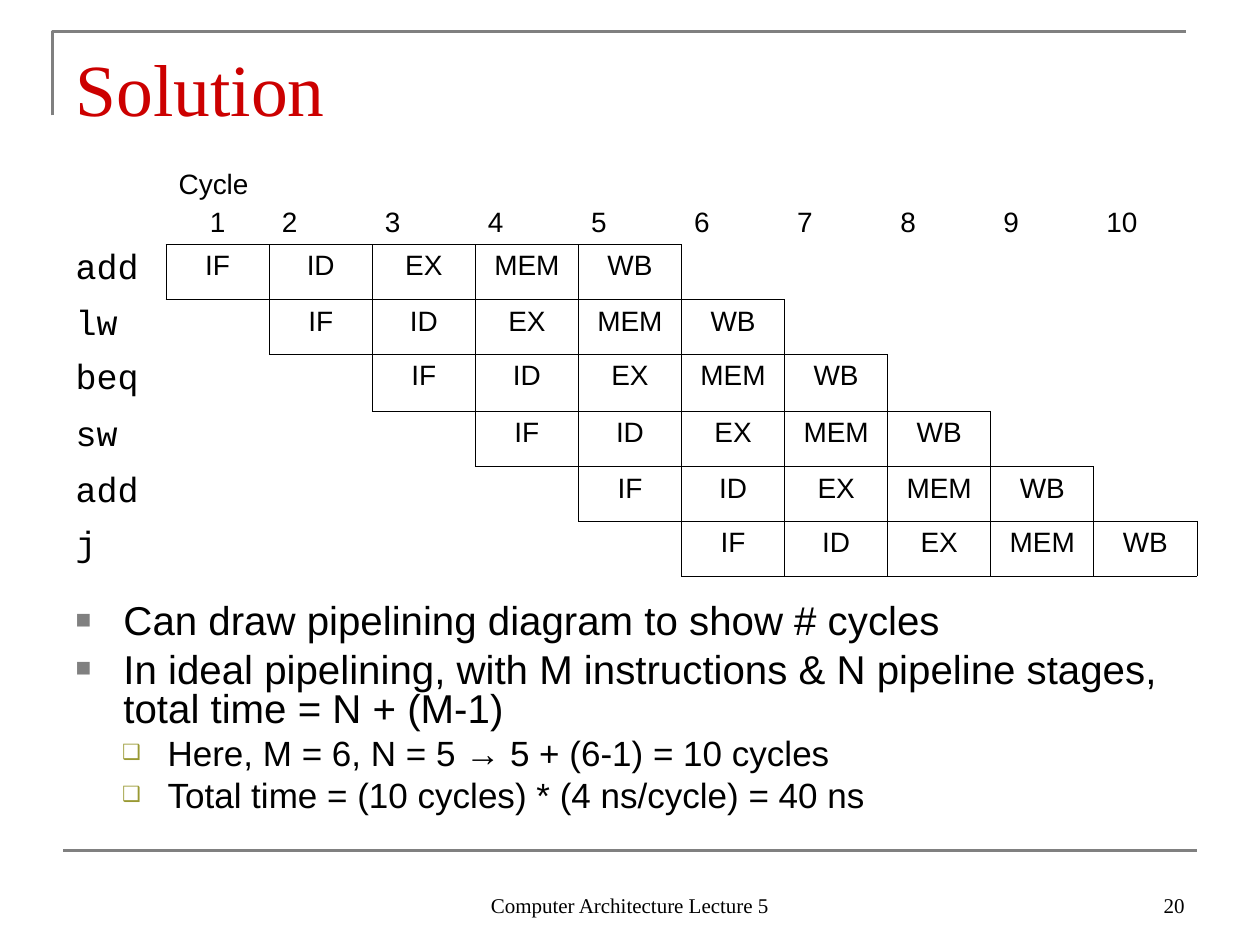
from dataclasses import dataclass

from lxml.etree import SubElement
from pptx import Presentation
from pptx.dml.color import RGBColor
from pptx.enum.shapes import MSO_CONNECTOR
from pptx.enum.text import MSO_ANCHOR, MSO_AUTO_SIZE, PP_ALIGN
from pptx.oxml.ns import qn
from pptx.util import Inches, Length, Pt

COLORS = {"title": "CC0000", "text": "000000", "rule": "808080", "sub_bullet": "999933"}
SANS, SERIF, MONO = "Arial", "Times New Roman", "Courier New"
GRID = Inches(1 / 12)  # the slide is 120 columns by 90 rows
STAGES = ["IF", "ID", "EX", "MEM", "WB"]
INSTRUCTIONS = ["add", "lw", "beq", "sw", "add", "j"]
CYCLES = len(INSTRUCTIONS) + len(STAGES) - 1
ROW_HEIGHTS = [0.69, 0.44, 0.43, 0.45, 0.44, 0.43, 0.43]
NO_STYLE = "{2D5ABB26-0587-4C30-8999-92F81FD0307C}"


@dataclass(frozen=True)
class Box:
    col: float
    row: float
    cols: float
    rows: float

    def lengths(self) -> tuple[Length, ...]:
        return tuple(units(n) for n in (self.col, self.row, self.cols, self.rows))


@dataclass(frozen=True)
class BulletStyle:
    char: str
    color: str
    percent: int
    margin: float
    indent: float
    size: float
    before: float


@dataclass(frozen=True)
class Bullet:
    text: str
    level: int


@dataclass(frozen=True)
class Footer:
    text: str
    box: Box
    align: PP_ALIGN


BULLET_STYLES = [
    BulletStyle("■", "rule", 65, 0.38, -0.38, 23, 5.8),
    BulletStyle("❑", "sub_bullet", 60, 0.73, -0.36, 20, 5),
]
BULLETS = [
    Bullet("Can draw pipelining diagram to show # cycles", 0),
    Bullet("In ideal pipelining, with M instructions & N pipeline stages, "
           "total time = N + (M-1)", 0),
    Bullet("Here, M = 6, N = 5 → 5 + (6-1) = 10 cycles", 1),
    Bullet("Total time = (10 cycles) * (4 ns/cycle) = 40 ns", 1),
]
FOOTERS = [
    Footer("Computer Architecture Lecture 5", Box(41, 82, 38, 6), PP_ALIGN.CENTER),
    Footer("20", Box(86, 82, 28, 6), PP_ALIGN.RIGHT),
]


def units(n: float) -> Length:
    return Length(round(n * GRID))


def rgb(name: str) -> RGBColor:
    return RGBColor.from_string(COLORS[name])


def style(p, font: str, size: float, color: str = "text", align=PP_ALIGN.LEFT) -> None:
    p.alignment = align
    for r in p.runs:
        r.font.name, r.font.size = font, Pt(size)
        r.font.color.rgb = rgb(color)


def place(s, box: Box) -> None:
    s.left, s.top, s.width, s.height = box.lengths()


def draw_rules(slide) -> None:
    builder = slide.shapes.build_freeform(units(5), units(11))
    builder.add_line_segments([(units(5), units(3)), (units(113), units(3))], close=False)
    corner = builder.convert_to_shape()
    corner.fill.background()
    corner.shadow.inherit = False
    bottom = slide.shapes.add_connector(
        MSO_CONNECTOR.STRAIGHT, units(6), units(81), units(114), units(81))
    SubElement(bottom._element.spPr, qn("a:effectLst"))
    for s in (corner, bottom):
        s.line.color.rgb = rgb("rule")
        s.line.width = Pt(1.5)


def draw_title(slide) -> None:
    title = slide.shapes.title
    place(title, Box(6, 3.6, 108, 9.4))
    tf = title.text_frame
    tf.text = "Solution"
    tf.auto_size = MSO_AUTO_SIZE.NONE
    tf.vertical_anchor = MSO_ANCHOR.MIDDLE
    style(tf.paragraphs[0], SERIF, 42, "title")


def add_bullet(p, look: BulletStyle) -> None:
    pPr = p._p.get_or_add_pPr()
    pPr.set("marL", str(Inches(look.margin)))
    pPr.set("indent", str(Inches(look.indent)))
    SubElement(SubElement(pPr, qn("a:buClr")), qn("a:srgbClr"), val=COLORS[look.color])
    SubElement(pPr, qn("a:buSzPct"), val=str(look.percent * 1000))
    SubElement(pPr, qn("a:buChar"), char=look.char)


def draw_bullets(slide) -> None:
    body = slide.placeholders[1]
    place(body, Box(6, 57, 108, 23.4))
    tf = body.text_frame
    tf.auto_size = MSO_AUTO_SIZE.NONE
    for i, bullet in enumerate(BULLETS):
        look = BULLET_STYLES[bullet.level]
        p = tf.paragraphs[0] if i == 0 else tf.add_paragraph()
        p.text, p.level = bullet.text, bullet.level
        add_bullet(p, look)
        p.line_spacing = 0.8
        p.space_before = Pt(look.before if i else 0)
        style(p, SANS, look.size)


def draw_footer(slide, footer: Footer) -> None:
    tf = slide.shapes.add_textbox(*footer.box.lengths()).text_frame
    tf.word_wrap = True
    tf.vertical_anchor = MSO_ANCHOR.BOTTOM
    tf.text = footer.text
    style(tf.paragraphs[0], SERIF, 12, align=footer.align)


def outline(cell) -> None:
    tcPr = cell._tc.get_or_add_tcPr()
    for side in ("lnL", "lnR", "lnT", "lnB"):
        ln = SubElement(tcPr, qn(f"a:{side}"), w=str(Pt(0.45)))
        SubElement(SubElement(ln, qn("a:solidFill")), qn("a:srgbClr"), val=COLORS["text"])


def fill_cell(cell, text: str, font: str = SANS, size: float = 16,
              align=PP_ALIGN.LEFT) -> None:
    cell.text_frame.text = text
    style(cell.text_frame.paragraphs[0], font, size, align=align)


def draw_pipeline(slide) -> None:
    """Cycle numbers on top, then each instruction one cycle after the last."""
    box = Box(6, 15, 108, sum(ROW_HEIGHTS) * 12)
    frame = slide.shapes.add_table(len(ROW_HEIGHTS), CYCLES + 1, *box.lengths())
    table = frame.table
    table.first_row = table.horz_banding = False
    frame._element.find(f".//{qn('a:tableStyleId')}").text = NO_STYLE
    for column in table.columns:
        column.width = units(box.cols / (CYCLES + 1))
    for row, height in zip(table.rows, ROW_HEIGHTS):
        row.height = Inches(height)

    for cycle in range(1, CYCLES + 1):
        cell = table.cell(0, cycle)
        cell.vertical_anchor = MSO_ANCHOR.BOTTOM
        fill_cell(cell, "Cycle" if cycle == 1 else str(cycle))
    p = table.cell(0, 1).text_frame.add_paragraph()
    p.text = "1"
    p.space_before = Pt(4)
    style(p, SANS, 16, align=PP_ALIGN.CENTER)

    for row, instruction in enumerate(INSTRUCTIONS, start=1):
        fill_cell(table.cell(row, 0), instruction, MONO, 20)
        for col, stage in enumerate(STAGES, start=row):
            fill_cell(table.cell(row, col), stage, align=PP_ALIGN.CENTER)
            outline(table.cell(row, col))
    for cell in table.iter_cells():
        cell.fill.background()


def main() -> None:
    prs = Presentation()
    prs.slide_width, prs.slide_height = units(120), units(90)
    slide = prs.slides.add_slide(prs.slide_layouts[1])
    draw_rules(slide)
    draw_title(slide)
    draw_bullets(slide)
    for footer in FOOTERS:
        draw_footer(slide, footer)
    draw_pipeline(slide)
    prs.save("out.pptx")


if __name__ == "__main__":
    main()
